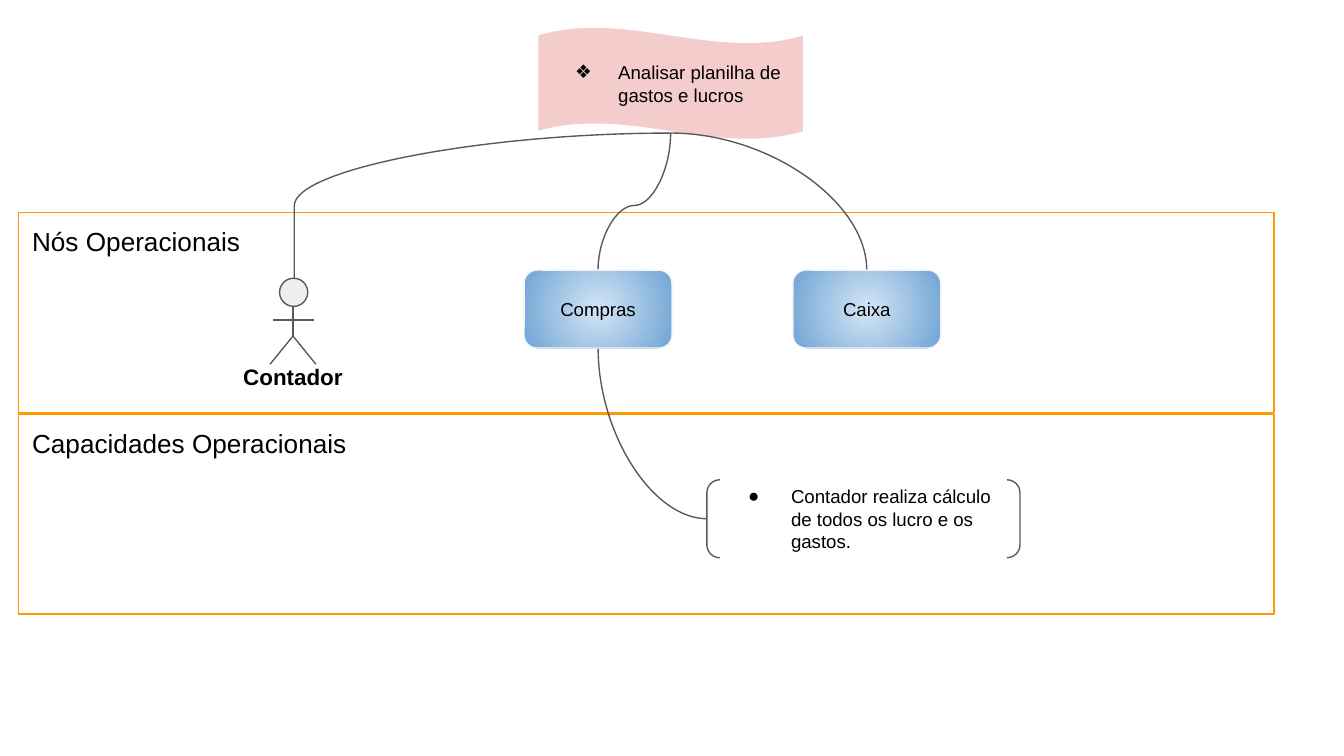
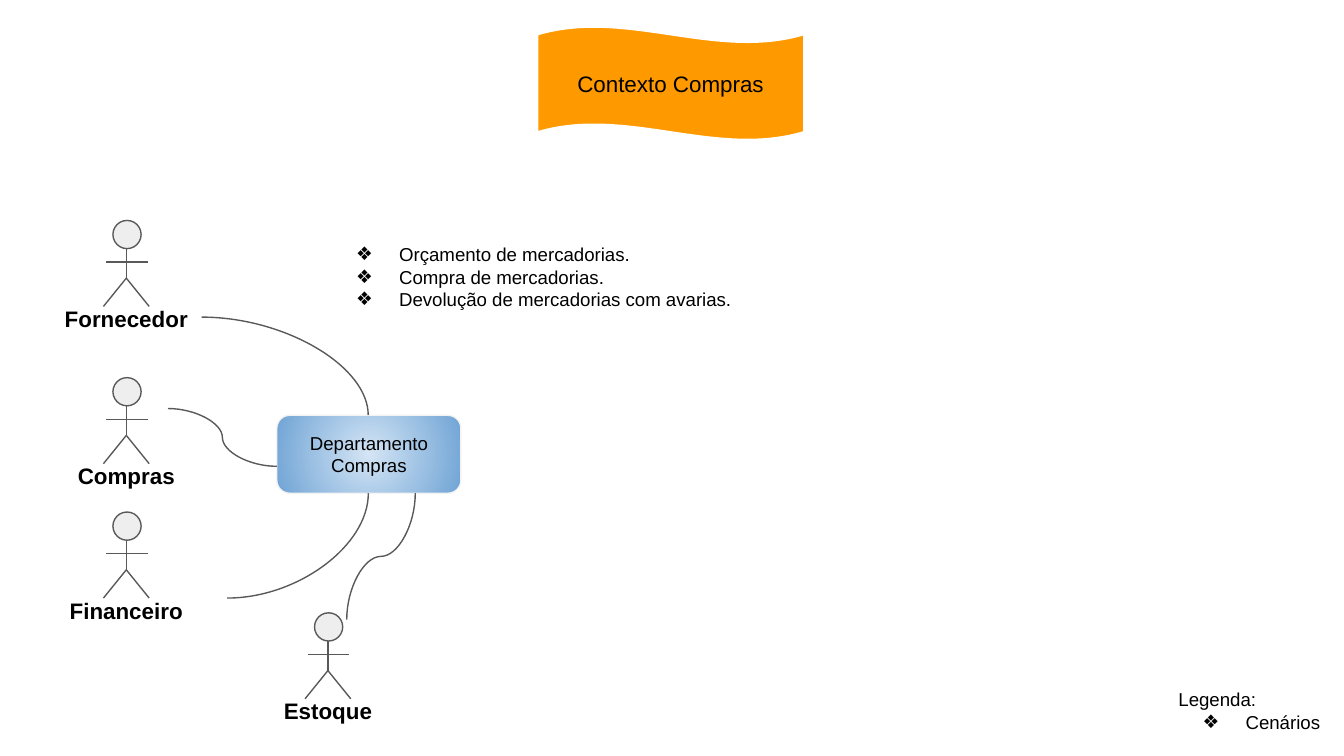
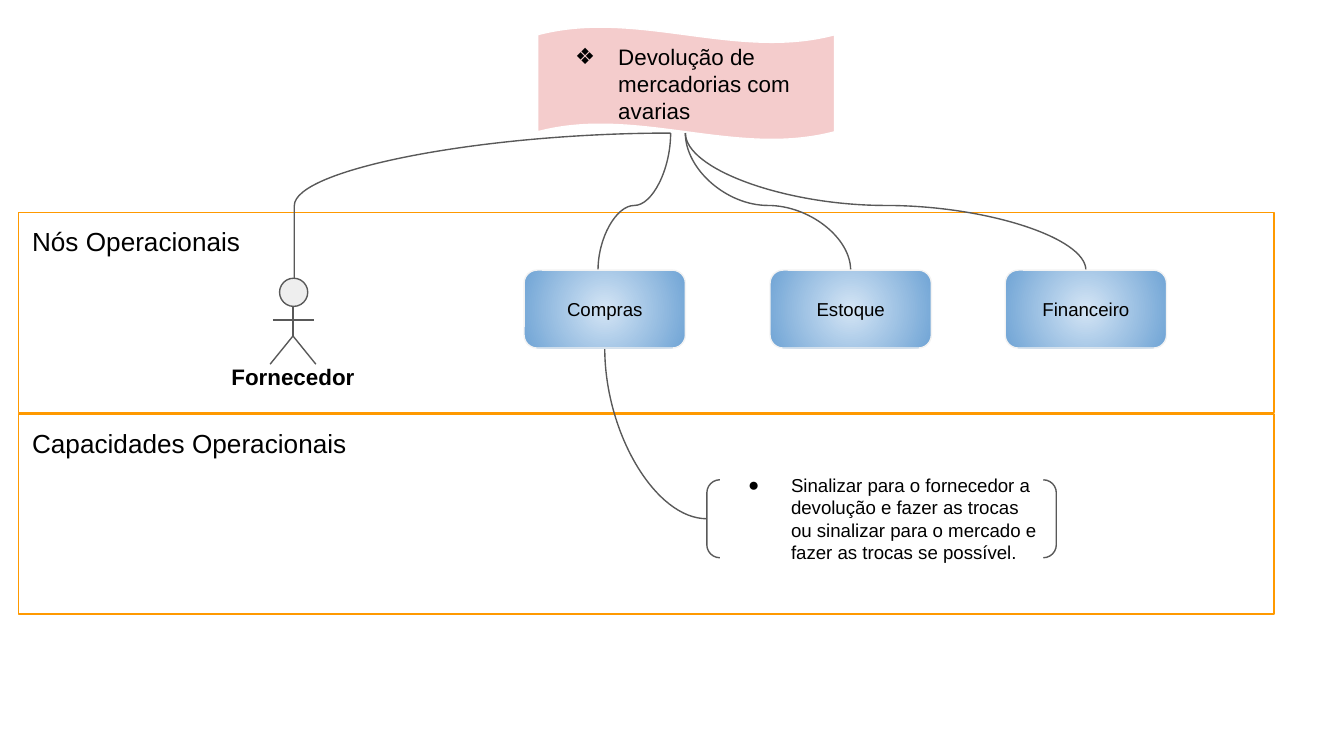
"""Builds three operational-context slides: two node diagrams and one overview."""
from dataclasses import dataclass
from enum import Enum
from typing import Optional

from lxml.etree import SubElement
from pptx import Presentation
from pptx.dml.color import RGBColor
from pptx.enum.shapes import MSO_CONNECTOR as Link, MSO_SHAPE as Preset
from pptx.enum.text import MSO_ANCHOR as Anchor, MSO_AUTO_SIZE as AutoSize, PP_ALIGN as Align
from pptx.oxml.ns import qn
from pptx.util import Inches, Pt

COLORS = {
    "text": "000000", "stroke": "595959", "head": "EEEEEE", "band": "FF9900",
    "scenario": "F4CCCC", "context": "FF9900", "flag_edge": "FFFFFF",
    "node_core": "D4E5F5", "node_rim": "70A4D5", "node_edge": "F3F3F3",
}
FONT = "Arial"
DIAMOND, DOT = "❖", "●"
TITLE_ONLY, TITLE_AND_BODY = 5, 1
SLIDE_WIDTH = Inches(10)
SLIDE_HEIGHT = SLIDE_WIDTH * 9 // 16
NODE_TOP, NODE_HEIGHT = 2.01, 0.58
FLAG_BOTTOM = 0.99


class Heading(Enum):
    RIGHT = 0
    DOWN = 90
    UP = 270


@dataclass
class Box:
    left: float
    top: float
    width: float
    height: float

    def inches(self) -> list:
        return [Inches(v) for v in (self.left, self.top, self.width, self.height)]


@dataclass
class Line:
    text: str
    bullet: str = ""


@dataclass
class Flag:
    line: Line
    size: int
    width: float = 1.98
    color: str = "scenario"


@dataclass
class Person:
    label: str
    axis: float
    top: float


@dataclass
class Node:
    label: str
    box: Box


@dataclass
class Curve:
    start: tuple[float, float]
    end: tuple[float, float]
    heading: Heading
    bend: Optional[float] = None


@dataclass
class Scenario:
    flag: Flag
    actor: str
    nodes: list[Node]
    curves: list[Curve]
    capability: str
    capability_width: float


def rgb(key: str) -> RGBColor:
    return RGBColor.from_string(COLORS[key])


def outline(shape, key: str) -> None:
    shape.line.color.rgb = rgb(key)
    shape.line.width = Pt(0.75)


def add_bullet(paragraph, char: str) -> None:
    props = paragraph._p.get_or_add_pPr()
    props.set("marL", str(Inches(0.5)))
    props.set("indent", str(Inches(-0.32)))
    tint = SubElement(props, qn("a:buClr"))
    SubElement(tint, qn("a:srgbClr")).set("val", COLORS["text"])
    SubElement(props, qn("a:buFont")).set("typeface", FONT)
    SubElement(props, qn("a:buChar")).set("char", char)


def write(shape, lines: list[Line], size: int, align=Align.LEFT,
          anchor=Anchor.TOP, bold: bool = False) -> None:
    frame = shape.text_frame
    frame.word_wrap = True
    frame.auto_size = AutoSize.NONE
    frame.vertical_anchor = anchor
    frame.margin_left = frame.margin_right = Inches(0.1)
    frame.margin_top = frame.margin_bottom = Inches(0.1)
    for index, line in enumerate(lines):
        paragraph = frame.add_paragraph() if index else frame.paragraphs[0]
        paragraph.alignment = align
        paragraph.space_before = Pt(0)
        if line.bullet:
            add_bullet(paragraph, line.bullet)
        run = paragraph.add_run()
        run.text = line.text
        run.font.name, run.font.size, run.font.bold = FONT, Pt(size), bold
        run.font.color.rgb = rgb("text")


def place(shape, box: Box) -> None:
    shape.left, shape.top, shape.width, shape.height = box.inches()


def add_preset(shapes, preset, box: Box, edge: str, fill: str = ""):
    shape = shapes.add_shape(preset, *box.inches())
    shape.shadow.inherit = False
    outline(shape, edge)
    if fill:
        shape.fill.solid()
        shape.fill.fore_color.rgb = rgb(fill)
    else:
        shape.fill.background()
    return shape


def add_link(shapes, kind, start: tuple[float, float], end: tuple[float, float]):
    link = shapes.add_connector(kind, *[Inches(v) for v in (*start, *end)])
    outline(link, "stroke")
    SubElement(link._element.spPr, qn("a:effectLst"))
    return link


def add_curve(slide, curve: Curve) -> None:
    (x1, y1), (x2, y2) = curve.start, curve.end
    dx, dy = x2 - x1, y2 - y1
    along, across = {
        Heading.RIGHT: (dx, dy), Heading.DOWN: (dy, -dx), Heading.UP: (-dy, dx),
    }[curve.heading]
    mid_x, mid_y = (x1 + x2) / 2, (y1 + y2) / 2
    half_w, half_h = abs(along) / 2, abs(across) / 2
    mirrored = across < 0
    side = -1 if mirrored else 1
    link = add_link(slide.shapes, Link.CURVE,
                    (mid_x - side * half_w, mid_y - half_h),
                    (mid_x + side * half_w, mid_y + half_h))
    link.rotation = (curve.heading.value + 180 * mirrored) % 360
    geometry = link._element.spPr.find(qn("a:prstGeom"))
    if curve.bend is None:
        geometry.set("prst", "curvedConnector2")
    else:
        guide = SubElement(geometry.find(qn("a:avLst")), qn("a:gd"))
        guide.set("name", "adj1")
        guide.set("fmla", f"val {round(curve.bend * 100000)}")


def add_flag(slide, flag: Flag) -> None:
    box = Box(4, 0.2, flag.width, 0.84)
    wave = add_preset(slide.shapes, Preset.WAVE, box, "flag_edge", flag.color)
    wave.adjustments[0] = 0.07
    title = slide.shapes.title
    wave._element.addnext(title._element)
    place(title, box)
    align = Align.LEFT if flag.line.bullet else Align.CENTER
    write(title, [flag.line], flag.size, align, Anchor.MIDDLE)


def add_person(slide, person: Person) -> None:
    x, y = person.axis, person.top
    shapes = slide.shapes.add_group_shape().shapes
    head = Box(x - 0.1, y, 0.21, 0.21)
    add_preset(shapes, Preset.FLOWCHART_CONNECTOR, head, "stroke", "head")
    hip = (x, y + 0.43)
    limbs = [
        ((x, y + 0.21), hip),
        ((x - 0.15, y + 0.31), (x + 0.16, y + 0.31)),
        (hip, (x - 0.17, y + 0.64)),
        (hip, (x + 0.17, y + 0.64)),
    ]
    for start, end in limbs:
        add_link(shapes, Link.STRAIGHT, start, end)
    label = shapes.add_textbox(*Box(x - 0.56, y + 0.53, 1.12, 0.37).inches())
    write(label, [Line(person.label)], 12, Align.CENTER, bold=True)


def add_node(slide, node: Node) -> None:
    shape = add_preset(slide.shapes, Preset.ROUNDED_RECTANGLE, node.box, "node_edge")
    shape.fill.gradient()
    for stop, key in zip(shape.fill.gradient_stops, ("node_core", "node_rim")):
        stop.color.rgb = rgb(key)
    gradient = shape._element.spPr.find(qn("a:gradFill"))
    gradient.remove(gradient.find(qn("a:lin")))
    radial = SubElement(gradient, qn("a:path"))
    radial.set("path", "circle")
    center = SubElement(radial, qn("a:fillToRect"))
    for edge in "ltrb":
        center.set(edge, "50000")
    write(shape, [Line(node.label)], 10, Align.CENTER, Anchor.MIDDLE)


def add_bands(slide) -> None:
    for row, heading in enumerate(("Nós Operacionais", "Capacidades Operacionais")):
        band = add_preset(slide.shapes, Preset.RECTANGLE,
                          Box(0.14, 1.58 + 1.5 * row, 9.34, 1.49), "band")
        write(band, [Line(heading)], 14)


def add_scenario(prs, scenario: Scenario) -> None:
    slide = prs.slides.add_slide(prs.slide_layouts[TITLE_ONLY])
    add_bands(slide)
    add_flag(slide, scenario.flag)
    add_person(slide, Person(scenario.actor, 2.18, 2.07))
    shared = [
        Curve((4.45, NODE_TOP), (4.99, FLAG_BOTTOM), Heading.UP, 0.472),
        Curve((2.19, 2.07), (4.99, FLAG_BOTTOM), Heading.RIGHT, 0),
    ]
    for curve in shared + scenario.curves:
        add_curve(slide, curve)
    capability = add_preset(slide.shapes, Preset.DOUBLE_BRACKET,
                            Box(5.26, 3.57, scenario.capability_width, 0.58), "stroke")
    write(capability, [Line(scenario.capability, DOT)], 10, anchor=Anchor.MIDDLE)
    for node in scenario.nodes:
        add_node(slide, node)


def add_context(prs) -> None:
    slide = prs.slides.add_slide(prs.slide_layouts[TITLE_AND_BODY])
    add_flag(slide, Flag(Line("Contexto Compras"), 12, color="context"))
    add_node(slide, Node("Departamento Compras", Box(2.06, 3.09, 1.37, NODE_HEIGHT)))
    for person in (
        Person("Fornecedor", 0.94, 1.64),
        Person("Compras", 0.94, 2.81),
        Person("Financeiro", 0.94, 3.81),
        Person("Estoque", 2.44, 4.56),
    ):
        add_person(slide, person)
    for curve in (
        Curve((1.5, 2.36), (2.74, 3.09), Heading.RIGHT),
        Curve((1.25, 3.04), (2.06, 3.47), Heading.RIGHT, 0.5),
        Curve((1.69, 4.45), (2.74, 3.67), Heading.RIGHT),
        Curve((2.58, 4.61), (3.09, 3.67), Heading.UP, 0.5),
    ):
        add_curve(slide, curve)
    scenarios = slide.placeholders[1]
    place(scenarios, Box(2.37, 1.71, 3.32, 0.89))
    write(scenarios, [
        Line("Orçamento de mercadorias.", DIAMOND),
        Line("Compra de mercadorias.", DIAMOND),
        Line("Devolução de mercadorias com avarias.", DIAMOND),
    ], 10)
    legend = slide.shapes.add_textbox(*Box(8.67, 5.02, 1.27, 0.52).inches())
    write(legend, [Line("Legenda:"), Line("Cenários", DIAMOND)], 10)


def node_row(width: float, places: dict[str, float]) -> list[Node]:
    return [Node(label, Box(left, NODE_TOP, width, NODE_HEIGHT))
            for label, left in places.items()]


def main() -> None:
    prs = Presentation()
    prs.slide_width, prs.slide_height = SLIDE_WIDTH, SLIDE_HEIGHT
    add_scenario(prs, Scenario(
        flag=Flag(Line("Analisar planilha de gastos e lucros", DIAMOND), 10),
        actor="Contador",
        nodes=node_row(1.1, {"Compras": 3.9, "Caixa": 5.9}),
        curves=[
            Curve((6.45, NODE_TOP), (4.99, FLAG_BOTTOM), Heading.UP),
            Curve((4.45, 2.59), (5.26, 3.86), Heading.DOWN),
        ],
        capability="Contador realiza cálculo de todos os lucro e os gastos.",
        capability_width=2.33,
    ))
    add_context(prs)
    add_scenario(prs, Scenario(
        flag=Flag(Line("Devolução de mercadorias com avarias", DIAMOND), 12, 2.21),
        actor="Fornecedor",
        nodes=node_row(1.2, {"Compras": 3.9, "Estoque": 5.73, "Financeiro": 7.48}),
        curves=[
            Curve((4.5, 2.59), (5.26, 3.86), Heading.DOWN),
            Curve((6.33, NODE_TOP), (5.1, FLAG_BOTTOM), Heading.UP, 0.472),
            Curve((8.08, NODE_TOP), (5.1, FLAG_BOTTOM), Heading.UP, 0.472),
        ],
        capability="Sinalizar para o fornecedor a devolução e fazer as trocas ou "
                   "sinalizar para o mercado e fazer as trocas se possível.",
        capability_width=2.6,
    ))
    prs.save("out.pptx")


if __name__ == "__main__":
    main()
